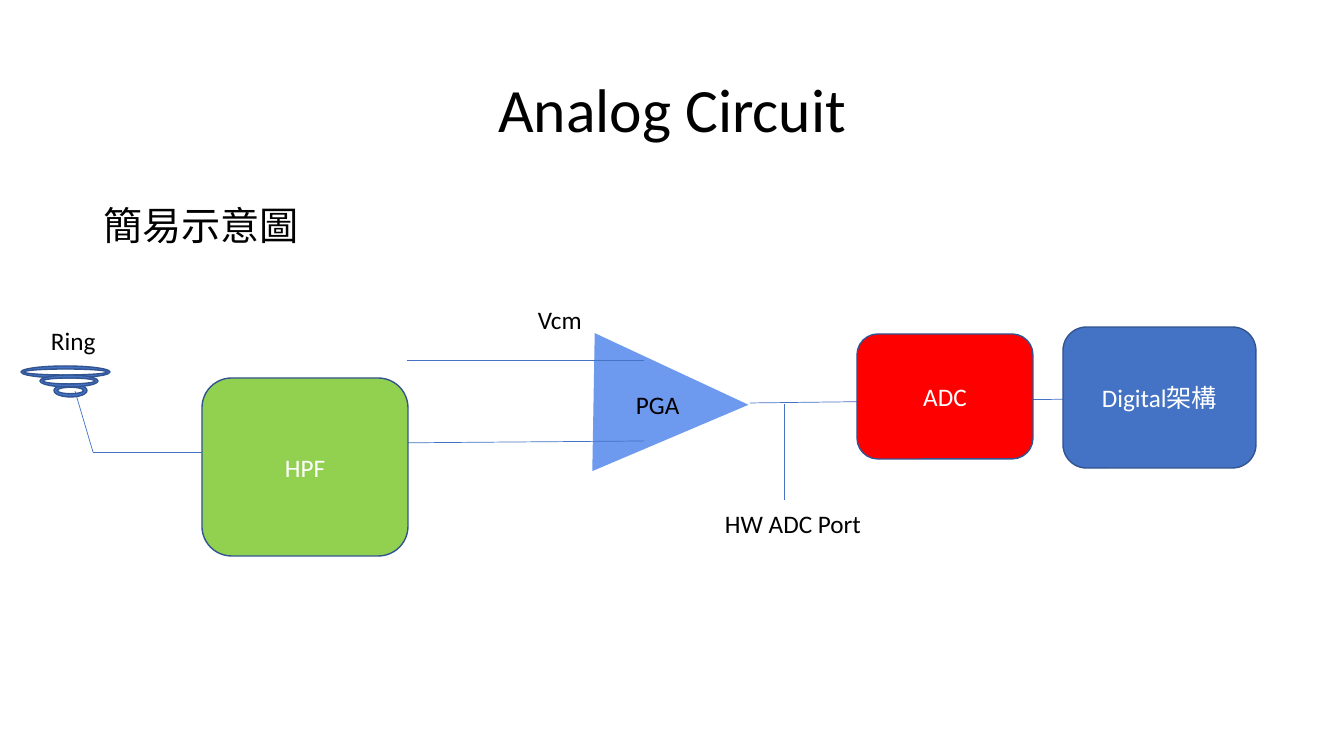
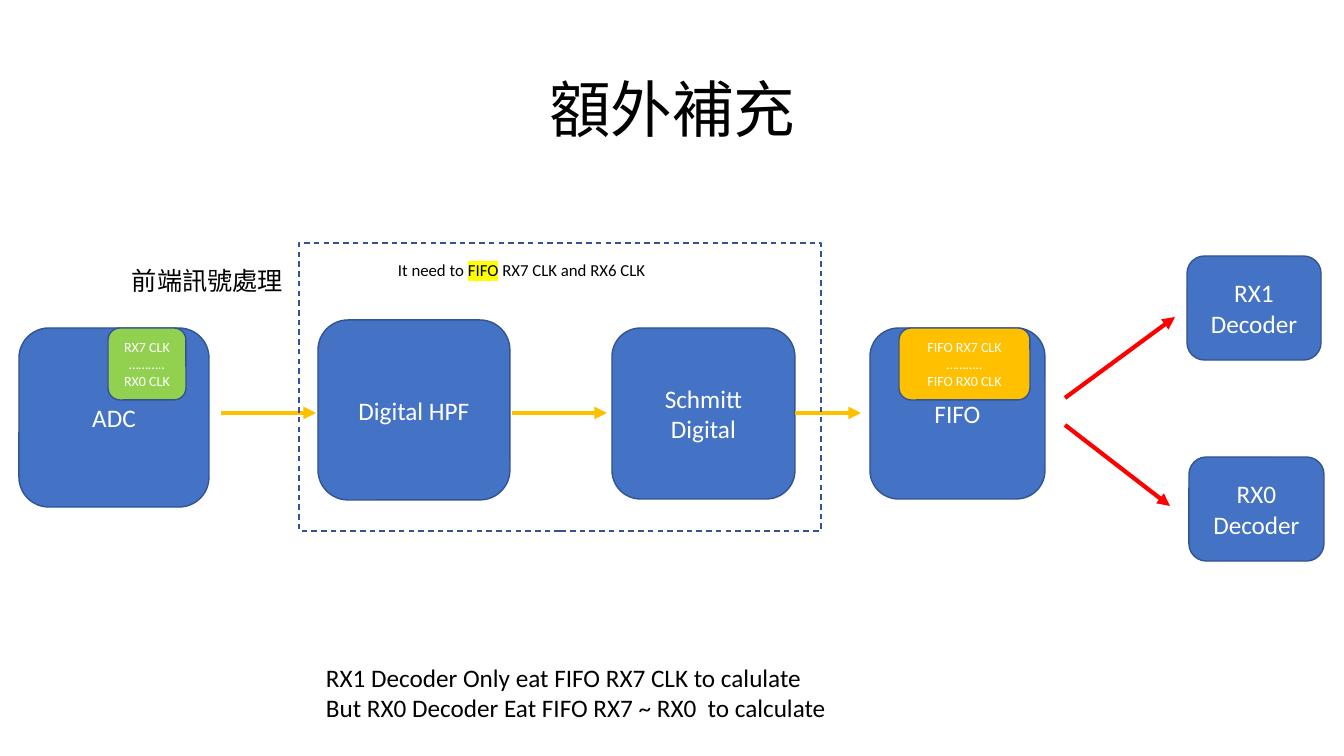
import pptx
import pptx.util
import pptx.dml.color
import pptx.enum.dml
import pptx.enum.shapes
import pptx.enum.text
import pptx.oxml
import pptx.oxml.ns

SCALE = 914400 / 100.8
WIDTH, HEIGHT = 1344, 756
FONT = "Calibri"
COLORS = {
    "blue": "4472C4", "outline": "325491", "green": "92D050", "red": "FF0000",
    "amber": "FFC000", "amplifier": "6D9AEE", "highlight": "FFFF00",
    "black": "000000", "white": "FFFFFF",
}
SHAPES = pptx.enum.shapes.MSO_SHAPE
CENTER = pptx.enum.text.PP_ALIGN.CENTER
MIDDLE = pptx.enum.text.MSO_ANCHOR.MIDDLE
AUTO_SIZE = pptx.enum.text.MSO_AUTO_SIZE


def emu(pixels):
    """Turn pixels into EMU."""
    return pptx.util.Emu(round(pixels * SCALE))


def rgb(name):
    """Look up a named colour."""
    return pptx.dml.color.RGBColor.from_string(COLORS[name])


def apply_format(target, values):
    """Set every attribute in a dict of format values."""
    for name, value in values.items():
        setattr(target, name, value)


def add_element(parent, tag):
    """Append an empty DrawingML element to its parent."""
    element = pptx.oxml.parse_xml(f"<{tag} {pptx.oxml.ns.nsdecls('a')}/>")
    parent.append(element)
    return element


class Deck:
    """Holds the shared style and the current slide."""

    def __init__(self):
        """Start a widescreen presentation."""
        self.presentation = pptx.Presentation()
        apply_format(self.presentation, {"slide_width": emu(WIDTH), "slide_height": emu(HEIGHT)})
        self.slide = None

    def new_slide(self, title, layout):
        """Add a slide with a centred title."""
        self.slide = self.presentation.slides.add_slide(self.presentation.slide_layouts[layout])
        shape = self.slide.shapes.title
        self.place(shape, (93, 40, 1159, 146))
        shape.text_frame.vertical_anchor = MIDDLE
        self.fill_text(shape, [title], 44, alignment=CENTER, line_spacing=0.9)

    def place(self, shape, box):
        """Move and size a shape."""
        apply_format(shape, dict(zip(("left", "top", "width", "height"), map(emu, box))))

    def fill_text(self, shape, lines, size, color="black", mark=None, **paragraph_format):
        """Fill a shape with paragraphs; a line may be a list of runs."""
        frame = shape.text_frame
        frame.word_wrap = True
        for index, line in enumerate(lines):
            paragraph = frame.paragraphs[0] if index == 0 else frame.add_paragraph()
            apply_format(paragraph, paragraph_format)
            for text in [line] if isinstance(line, str) else line:
                run = paragraph.add_run()
                run.text = text
                apply_format(run.font, {"size": pptx.util.Pt(size), "name": FONT})
                run.font.color.rgb = rgb(color)
                if text == mark:
                    self.highlight(run)

    def highlight(self, run):
        """Mark a run with the highlight colour."""
        properties = run.font._element
        element = add_element(properties, "a:highlight")
        add_element(element, "a:srgbClr").set("val", COLORS["highlight"])
        properties.find(pptx.oxml.ns.qn("a:solidFill")).addnext(element)

    def body(self, text, box):
        """Put one unbulleted line in the body placeholder."""
        shape = self.slide.placeholders[1]
        self.place(shape, box)
        shape.text_frame.auto_size = AUTO_SIZE.NONE
        self.fill_text(shape, [text], 28, line_spacing=0.9, space_before=pptx.util.Pt(10))
        properties = shape.text_frame.paragraphs[0]._p.get_or_add_pPr()
        for name in ("marL", "indent"):
            properties.set(name, "0")
        add_element(properties, "a:buNone")

    def label(self, lines, box, size=18, mark=None):
        """Add a text box that grows with its text."""
        shape = self.slide.shapes.add_textbox(*map(emu, box))
        self.fill_text(shape, lines, size, mark=mark)
        shape.text_frame.auto_size = AUTO_SIZE.SHAPE_TO_FIT_TEXT

    def shape(self, kind, box, fill="blue", line="outline"):
        """Add a flat preset shape; None leaves out fill or line."""
        shape = self.slide.shapes.add_shape(kind, *map(emu, box))
        shape.shadow.inherit = False
        for style, color in ((shape.fill, fill), (shape.line.fill, line)):
            if color:
                style.solid()
                style.fore_color.rgb = rgb(color)
            else:
                style.background()
        if line:
            shape.line.width = pptx.util.Pt(1)
        return shape

    def block(self, lines, box, fill="blue", size=18):
        """Add a rounded block with centred white text."""
        shape = self.shape(SHAPES.ROUNDED_RECTANGLE, box, fill)
        shape.text_frame.vertical_anchor = MIDDLE
        self.fill_text(shape, lines, size, "white", alignment=CENTER)

    def line(self, start, end, color="blue", width=0.5, arrow=False):
        """Draw a straight line, with an arrowhead if asked."""
        connector = self.slide.shapes.add_connector(
            pptx.enum.shapes.MSO_CONNECTOR.STRAIGHT, *map(emu, start + end))
        connector.line.color.rgb = rgb(color)
        connector.line.width = pptx.util.Pt(width)
        if arrow:
            add_element(connector.line._get_or_add_ln(), "a:tailEnd").set("type", "triangle")
        add_element(connector._element.spPr, "a:effectLst")

    def arrow(self, start, end, color="amber"):
        """Draw a thick arrow."""
        self.line(start, end, color, 3, True)


def analog_circuit(deck):
    """Build the signal chain from ring to digital part."""
    deck.new_slide("Analog Circuit", 1)
    deck.body("簡易示意圖", (93, 202, 1159, 480))

    amplifier = deck.shape(SHAPES.ISOSCELES_TRIANGLE, (602, 326, 138, 155), "amplifier", None)
    amplifier.rotation = 91
    deck.line((407, 360), (644, 360))
    deck.line((388, 443), (644, 441))
    deck.block(["HPF"], (202, 378, 206, 178), "green")
    deck.label(["Vcm"], (528, 299, 98, 40))
    deck.label(["PGA"], (626, 384, 158, 40))

    for end in ((202, 452), (75, 391)):
        deck.line((93, 452), end)
    for coil in ((21, 366, 89, 12), (54, 384, 33, 13), (40, 375, 58, 12)):
        deck.shape(SHAPES.DONUT, coil)
    deck.label(["Ring"], (41, 320, 99, 40))

    deck.line((750, 403), (1256, 397))
    deck.block(["ADC"], (857, 334, 176, 125), "red")
    deck.block(["Digital架構"], (1063, 327, 193, 141))
    deck.line((784, 404), (784, 500))
    deck.label(["HW ADC Port"], (715, 503, 158, 40))


def supplement(deck):
    """Build the flow from ADC to the two decoders."""
    deck.new_slide("額外補充", 5)
    for text, box in (
        ("ADC", (19, 328, 190, 179)),
        ("Digital HPF", (318, 320, 192, 180)),
        ("FIFO", (870, 328, 175, 171)),
        ("RX1 Decoder", (1187, 256, 134, 104)),
        ("RX0 Decoder", (1189, 457, 135, 104)),
        ("Schmitt Digital", (612, 328, 183, 171)),
    ):
        deck.block([text], box)
    deck.label(["前端訊號處理"], (122, 260, 276, 40))

    for left, right in ((221, 316), (512, 607), (795, 861)):
        deck.arrow((left, 413), (right, 413))
    deck.arrow((1065, 398), (1175, 317), "red")
    deck.arrow((1065, 425), (1170, 506), "red")

    for prefix, left, width, fill in (("", 108, 78, "green"), ("FIFO ", 899, 131, "amber")):
        lines = [f"{prefix}RX7 CLK", "………..", f"{prefix}RX0 CLK"]
        deck.block(lines, (left, 328, width, 72), fill, 10)

    frame = deck.shape(SHAPES.RECTANGLE, (299, 243, 522, 288), None)
    frame.line.dash_style = pptx.enum.dml.MSO_LINE.DASH
    deck.label([["It need to ", "FIFO", " RX7 CLK and RX6 CLK"]],
               (388, 255, 298, 30), 12, "FIFO")
    deck.label(["RX1 Decoder Only eat FIFO RX7 CLK to calulate ",
                "But RX0 Decoder Eat FIFO RX7 ~ RX0  to calculate"], (316, 657, 543, 71))


deck = Deck()
analog_circuit(deck)
supplement(deck)
deck.presentation.save("out.pptx")
